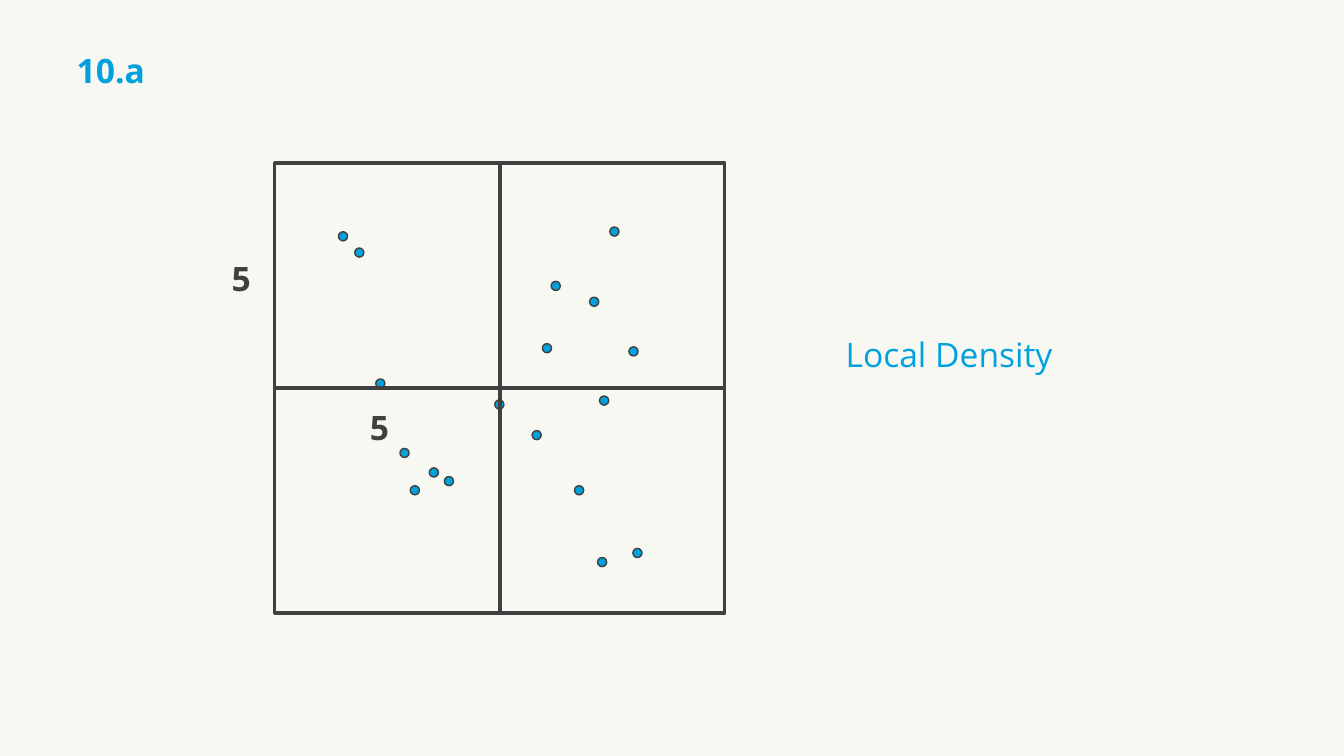
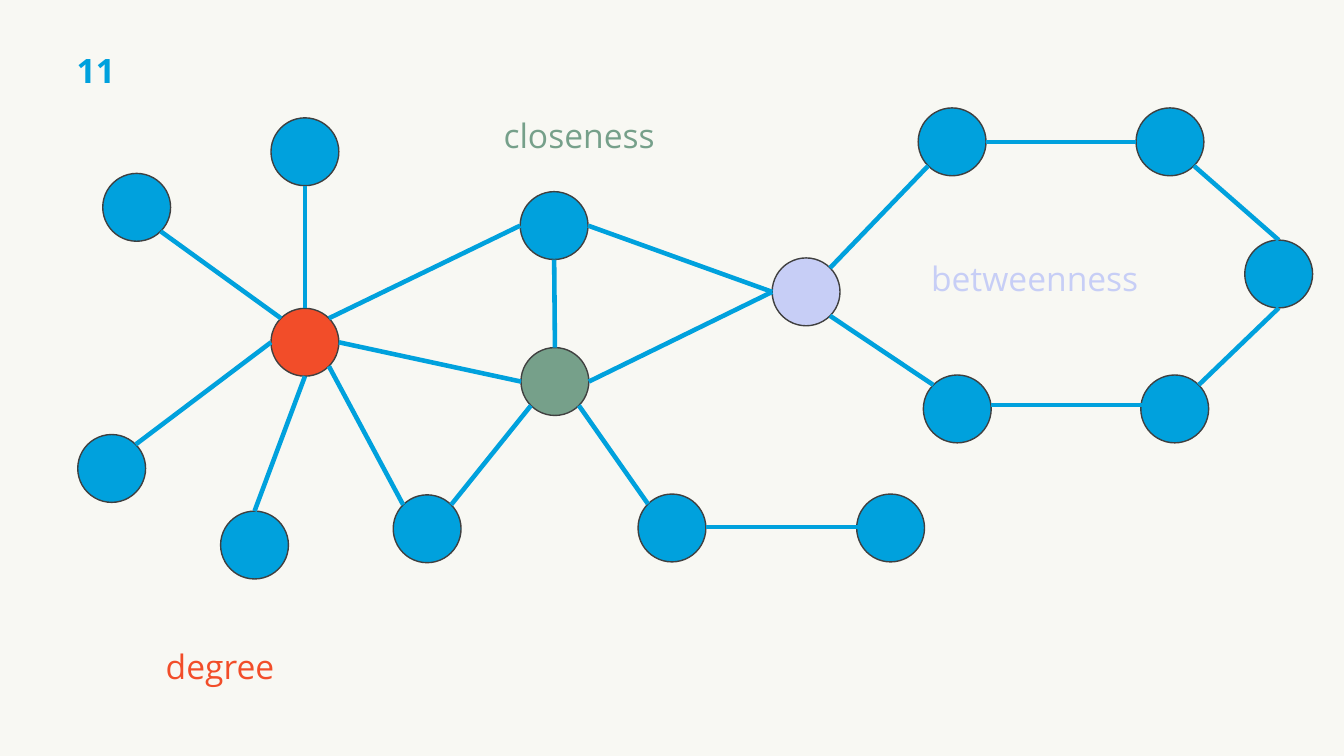
from lxml import etree
from pptx import Presentation
from pptx.dml.color import RGBColor
from pptx.enum import shapes, text
from pptx.oxml.ns import qn
from pptx.util import Cm, Pt

# Shared style
FONT, SIZE = "Open Sans", 24
PAPER, BLUE, INK = "F8F8F3", "00A1DD", "404040"
RED, GREEN, LILAC = "F24D29", "76A08A", "C7CEF6"
TITLE_BOX = (1.68, 1.14, 3.99, 1.27)
LEFT, CENTER = text.PP_ALIGN.LEFT, text.PP_ALIGN.CENTER
RECT, OVAL = shapes.MSO_SHAPE.RECTANGLE, shapes.MSO_SHAPE.OVAL

# Density slide: lengths in cm
DENSITY_TITLE = "10.a"
GRID_LEFT, GRID_TOP, GRID_SIDE = 6.92, 4.11, 11.34
CELL, PITCH = 5.66, 5.68
DOT = 0.23
DOTS = [
    (8.53, 5.84), (8.94, 6.25), (15.37, 5.72), (9.47, 9.55), (14.86, 7.49),
    (15.11, 9.98), (11.2, 12.01), (10.34, 12.24), (10.08, 11.3),
    (10.82, 11.79), (13.89, 7.09), (13.41, 10.85), (13.67, 8.66),
    (15.85, 8.74), (15.95, 13.82), (15.06, 14.05), (12.47, 10.08),
    (14.48, 12.24),
]
# text, left, top, width, colour, bold, alignment
DENSITY_LABELS = [
    ("Local Density", 21.06, 8.28, 6.4, BLUE, False, LEFT),
    ("5", 5.59, 6.38, 1.73, INK, True, LEFT),
    ("5", 9.07, 10.13, 1.73, INK, True, LEFT),
]

# Network slide: node name -> left, top, colour
NETWORK_TITLE = "11"
NODE = 1.71
NODES = {
    "north": (6.83, 2.97, BLUE),
    "degree": (6.83, 7.77, RED),
    "northwest": (2.59, 4.37, BLUE),
    "southwest": (1.96, 10.95, BLUE),
    "south": (5.56, 12.88, BLUE),
    "upper": (13.11, 4.83, BLUE),
    "shared": (9.91, 12.47, BLUE),
    "closeness": (13.13, 8.76, GREEN),
    "betweenness": (19.46, 6.5, LILAC),
    "tail": (16.08, 12.45, BLUE),
    "tail end": (21.59, 12.45, BLUE),
    "loop top left": (23.14, 2.72, BLUE),
    "loop top right": (28.63, 2.72, BLUE),
    "loop low left": (23.27, 9.45, BLUE),
    "loop low right": (28.75, 9.45, BLUE),
    "loop right": (31.37, 6.05, BLUE),
}
# node, side, node, side
EDGES = [
    ("degree", "NW", "northwest", "SE"),
    ("degree", "N", "north", "S"),
    ("degree", "W", "southwest", "NE"),
    ("degree", "S", "south", "N"),
    ("degree", "SE", "shared", "NW"),
    ("degree", "NE", "upper", "W"),
    ("closeness", "W", "degree", "E"),
    ("closeness", "N", "upper", "S"),
    ("closeness", "SW", "shared", "NE"),
    ("closeness", "E", "betweenness", "W"),
    ("betweenness", "W", "upper", "E"),
    ("tail", "NW", "closeness", "SE"),
    ("betweenness", "SE", "loop low left", "NW"),
    ("loop top left", "E", "loop top right", "W"),
    ("betweenness", "NE", "loop top left", "SW"),
    ("loop low right", "NE", "loop right", "S"),
    ("loop top right", "SE", "loop right", "N"),
]
# Level edges that run into the next node: left, top
LEVEL_EDGES = [(17.78, 13.28), (24.97, 10.21)]
LEVEL_LENGTH = 4.24
NETWORK_LABELS = [
    ("degree", 1.47, 16.15, 8.15, RED, False, CENTER),
    ("closeness", 10.52, 2.77, 8.15, GREEN, False, CENTER),
    ("betweenness", 22.0, 6.38, 8.15, LILAC, False, CENTER),
]


def rgb(color):
    return RGBColor.from_string(color)


def write(tf, words, color, bold, align):
    tf.word_wrap = True
    tf.vertical_anchor = text.MSO_ANCHOR.TOP
    p = tf.paragraphs[0]
    p.alignment = align
    r = p.add_run()
    r.text = words
    r.font.name, r.font.size, r.font.bold = FONT, Pt(SIZE), bold
    r.font.color.rgb = rgb(color)


def add_labels(s, labels):
    for words, left, top, width, color, bold, align in labels:
        box = s.shapes.add_textbox(Cm(left), Cm(top), Cm(width), Cm(1.27))
        write(box.text_frame, words, color, bold, align)


def add_outline(s, kind, left, top, size, weight, fill=None):
    sp = s.shapes.add_shape(kind, Cm(left), Cm(top), Cm(size), Cm(size))
    sp.shadow.inherit = False
    if fill:
        sp.fill.solid()
        sp.fill.fore_color.rgb = rgb(fill)
    else:
        sp.fill.background()
    sp.line.color.rgb = rgb(INK)
    sp.line.width = Pt(weight)


def add_edge(s, start, end):
    line = s.shapes.add_connector(shapes.MSO_CONNECTOR.STRAIGHT,
                                  *(Cm(v) for v in start + end))
    line.line.color.rgb = rgb(BLUE)
    line.line.width = Pt(3.25)
    etree.SubElement(line._element.spPr, qn("a:effectLst"))


def rim(name, side):
    """Point of a node's circle in a compass direction."""
    left, top, _ = NODES[name]
    dx = ("E" in side) - ("W" in side)
    dy = ("S" in side) - ("N" in side)
    reach = NODE / 2 / (dx * dx + dy * dy) ** 0.5
    return left + NODE / 2 + dx * reach, top + NODE / 2 + dy * reach


def add_slide(prs, title):
    s = prs.slides.add_slide(prs.slide_layouts[5])
    sp = s.shapes.title
    sp.left, sp.top, sp.width, sp.height = (Cm(v) for v in TITLE_BOX)
    write(sp.text_frame, title, BLUE, True, LEFT)
    sp.text_frame.auto_size = text.MSO_AUTO_SIZE.NONE
    return s


def density_slide(prs):
    s = add_slide(prs, DENSITY_TITLE)
    add_outline(s, RECT, GRID_LEFT, GRID_TOP, GRID_SIDE, 2.25)
    for left, top in DOTS:
        add_outline(s, OVAL, left, top, DOT, 1, BLUE)
    add_labels(s, DENSITY_LABELS)
    # Quadrants
    for row in range(2):
        for col in range(2):
            add_outline(s, RECT, GRID_LEFT + col * PITCH,
                        GRID_TOP + row * PITCH, CELL, 2.25)


def network_slide(prs):
    s = add_slide(prs, NETWORK_TITLE)
    for left, top, color in NODES.values():
        add_outline(s, OVAL, left, top, NODE, 1, color)
    for a, a_side, b, b_side in EDGES:
        add_edge(s, rim(a, a_side), rim(b, b_side))
    for left, top in LEVEL_EDGES:
        add_edge(s, (left, top), (left + LEVEL_LENGTH, top))
    add_labels(s, NETWORK_LABELS)


def main():
    prs = Presentation()
    prs.slide_width, prs.slide_height = Cm(33.87), Cm(19.05)
    paper = prs.slide_master.background.fill
    paper.solid()
    paper.fore_color.rgb = rgb(PAPER)
    density_slide(prs)
    network_slide(prs)
    prs.save("out.pptx")


if __name__ == "__main__":
    main()
